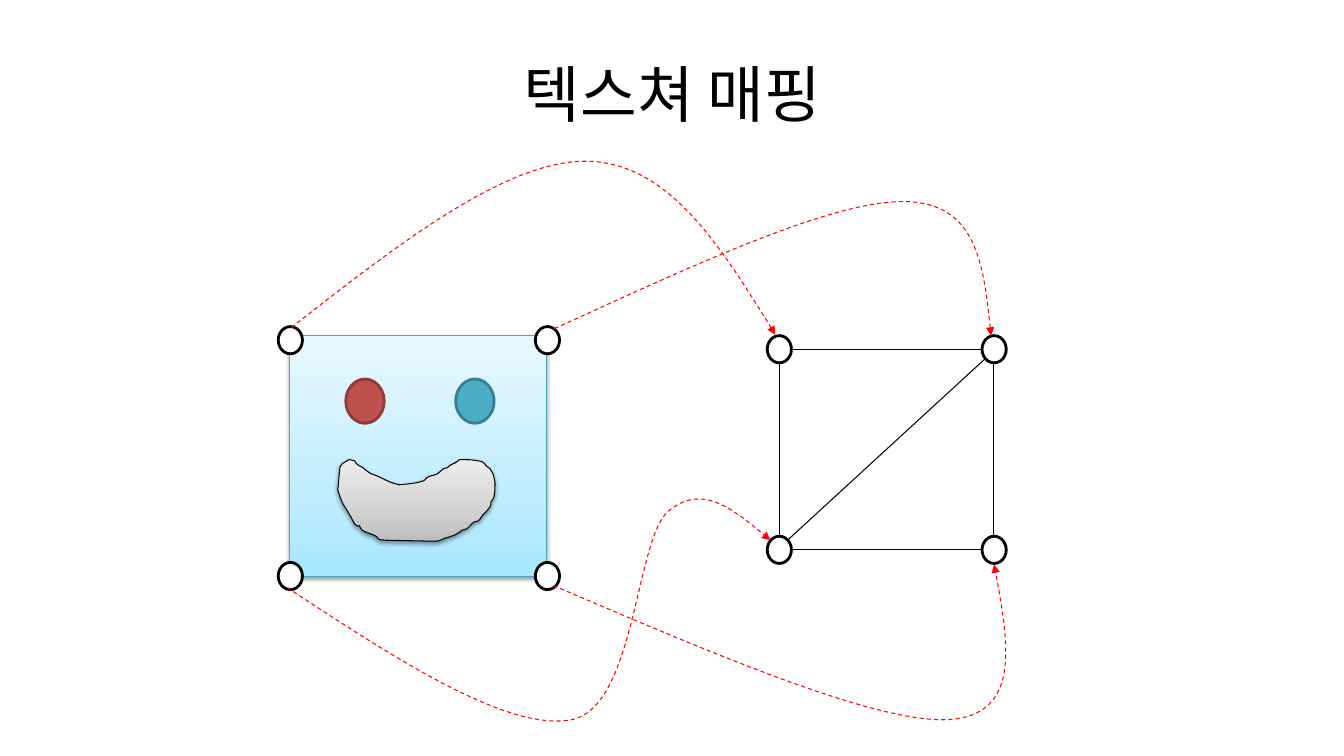
from itertools import product

from lxml.etree import SubElement
from pptx import Presentation
from pptx.dml.color import RGBColor
from pptx.enum.dml import MSO_LINE
from pptx.enum.shapes import MSO_CONNECTOR, MSO_SHAPE
from pptx.enum.text import MSO_ANCHOR, PP_ALIGN
from pptx.oxml.ns import qn
from pptx.util import Pt

PX = 9144
FONT = "Noto Sans CJK KR"
BLACK, WHITE, RED = "000000", "FFFFFF", "FF0000"
SKY = [(0, "A7E6FF"), (35, "C1EDFF"), (100, "E7F8FF")]
SILVER = [(0, "BDBDBD"), (35, "D1D1D1"), (100, "EEEEEE")]

MOUTH_START = (347, 511)
MOUTH = [
    (344, 505, 340, 501, 338, 495), (335, 486),
    (336, 479, 336, 473, 337, 467), (337, 465, 337, 463, 338, 462),
    (339, 460, 341, 459, 343, 458), (344, 457, 346, 456, 347, 456),
    (358, 459, 347, 455, 356, 462), (358, 463, 359, 463, 360, 464),
    (363, 466, 365, 469, 368, 470), (371, 471, 374, 472, 376, 473),
    (378, 474, 380, 475, 382, 476), (388, 479, 389, 479, 396, 481),
    (405, 480, 409, 480, 417, 478), (424, 476, 419, 477, 425, 473),
    (427, 472, 433, 471, 434, 470), (436, 468, 438, 467, 440, 465),
    (441, 465, 442, 464, 444, 464), (445, 463, 446, 461, 448, 461),
    (459, 454, 444, 465, 456, 456), (463, 456, 471, 456, 478, 458),
    (480, 458, 481, 461, 482, 462), (483, 463, 485, 464, 486, 465),
    (487, 467, 488, 468, 489, 470), (490, 473, 491, 479, 491, 479),
    (491, 484, 491, 489, 490, 493), (490, 495, 488, 496, 487, 498),
    (487, 500, 487, 502, 486, 503), (484, 506, 481, 509, 478, 512),
    (477, 514, 476, 516, 474, 517), (473, 517, 471, 518, 470, 518),
    (467, 520, 465, 524, 462, 525), (461, 525, 460, 526, 458, 526),
    (457, 527, 456, 529, 454, 529), (452, 531, 447, 532, 445, 533),
    (442, 533, 440, 535, 437, 536), (433, 537), (383, 536),
    (370, 535, 379, 535, 371, 531), (368, 530, 366, 529, 363, 528),
    (359, 526), (353, 516, 360, 526, 352, 520),
    (351, 519, 348, 512, 347, 511),
]
MAPPINGS = [
    ((289, 325), [(395, 242, 502, 159, 582, 160), (662, 161, 716, 246, 769, 332)]),
    ((550, 326), [(688, 263, 825, 199, 897, 200), (969, 201, 976, 267, 983, 333)]),
    ((285, 583), [(394, 655, 504, 726, 567, 714), (630, 701, 630, 538, 662, 508),
                  (695, 479, 730, 507, 764, 536)]),
    ((549, 581), [(708, 649, 867, 717, 940, 714), (1013, 710, 1000, 635, 986, 560)]),
]
EDGES = [
    (773, 361, 773, 532),
    (785, 347, 974, 347),
    (985, 360, 985, 532),
    (785, 545, 974, 545),
    (781, 536, 977, 356),
]


def color(value):
    return RGBColor.from_string(value)


class Page:
    def __init__(self, deck):
        self.page = deck.slides.add_slide(deck.slide_layouts[5])
        self.shapes = self.page.shapes

    def title(self, text, *box):
        title = self.page.shapes.title
        title.left, title.top, title.width, title.height = (PX * n for n in box)
        title.text_frame.vertical_anchor = MSO_ANCHOR.MIDDLE
        title.text_frame.text = text
        para = title.text_frame.paragraphs[0]
        para.alignment = PP_ALIGN.CENTER
        para.font.size = Pt(44)
        para.font.name = FONT
        para.font.color.rgb = color(BLACK)
        properties = para._p.pPr.find(qn("a:defRPr"))
        SubElement(properties, qn("a:ea"), typeface=FONT)

    def outline(self, shape, line, weight):
        shape.line.color.rgb = color(line)
        shape.line.width = Pt(weight)
        shape.shadow.inherit = False

    def shape(self, kind, box, fill, line, weight):
        shape = self.shapes.add_shape(kind, *(PX * n for n in box))
        if isinstance(fill, str):
            shape.fill.solid()
            shape.fill.fore_color.rgb = color(fill)
        self.outline(shape, line, weight)
        return shape

    def shade(self, shape, stops):
        shape.fill.gradient()
        shape.fill.gradient_angle = 90
        stop_list = shape._element.spPr.find(".//" + qn("a:gsLst"))
        for stop in list(stop_list):
            stop_list.remove(stop)
        for position, value in stops:
            stop = SubElement(stop_list, qn("a:gs"), pos=str(position * 1000))
            SubElement(stop, qn("a:srgbClr"), val=value)
        effects = shape._element.spPr.find(qn("a:effectLst"))
        shadow = SubElement(effects, qn("a:outerShdw"), blurRad="39370",
                            dist="20320", dir="5400000", rotWithShape="0")
        tint = SubElement(shadow, qn("a:srgbClr"), val=BLACK)
        SubElement(tint, qn("a:alpha"), val="38000")

    def curve(self, start, segments, line, closed=False):
        builder = self.shapes.build_freeform(*start, scale=PX)
        for segment in segments:
            points = list(zip(segment[::2], segment[1::2]))
            builder.add_line_segments(points, close=False)
        if closed:
            builder.add_line_segments([], close=True)
        shape = builder.convert_to_shape()
        steps = iter(shape._element.spPr.findall(".//" + qn("a:lnTo")))
        for segment in segments:
            step = next(steps)
            if len(segment) == 6:
                step.tag = qn("a:cubicBezTo")
                for _ in range(2):
                    extra = next(steps)
                    step.append(extra[0])
                    extra.getparent().remove(extra)
        shape.fill.background()
        self.outline(shape, line, 0.75)
        return shape

    def arrow(self, start, segments):
        shape = self.curve(start, segments, RED)
        shape.line.dash_style = MSO_LINE.DASH
        SubElement(shape.line._get_or_add_ln(), qn("a:tailEnd"), type="triangle")

    def edge(self, *ends):
        edge = self.shapes.add_connector(MSO_CONNECTOR.STRAIGHT, *(PX * n for n in ends))
        edge.line.color.rgb = color(BLACK)
        edge.line.width = Pt(0.75)
        SubElement(edge._element.spPr, qn("a:effectLst"))

    def vertices(self, lefts, tops):
        for top, left in product(tops, lefts):
            self.shape(MSO_SHAPE.OVAL, (left, top, 24, 27), WHITE, BLACK, 2)

    def face(self):
        self.shapes = self.page.shapes.add_group_shape().shapes
        head = self.shape(MSO_SHAPE.RECTANGLE, (287, 333, 255, 239), None, "46AAC5", 0.75)
        self.shade(head, SKY)
        for left, fill, line in [(343, "C0504D", "8E3B39"), (452, "4BACC6", "377F92")]:
            self.shape(MSO_SHAPE.OVAL, (left, 376, 38, 44), fill, line, 2)
        self.shade(self.curve(MOUTH_START, MOUTH, BLACK, closed=True), SILVER)
        self.shapes = self.page.shapes


def main():
    deck = Presentation()
    deck.slide_width, deck.slide_height = 1333 * PX, 750 * PX
    page = Page(deck)
    page.title("텍스쳐 매핑", 67, 30, 1200, 125)
    page.face()
    page.vertices((761, 974), (333, 532))
    for ends in EDGES:
        page.edge(*ends)
    page.vertices((276, 531), (324, 558))
    for start, segments in MAPPINGS:
        page.arrow(start, segments)
    deck.save("out.pptx")


if __name__ == "__main__":
    main()
